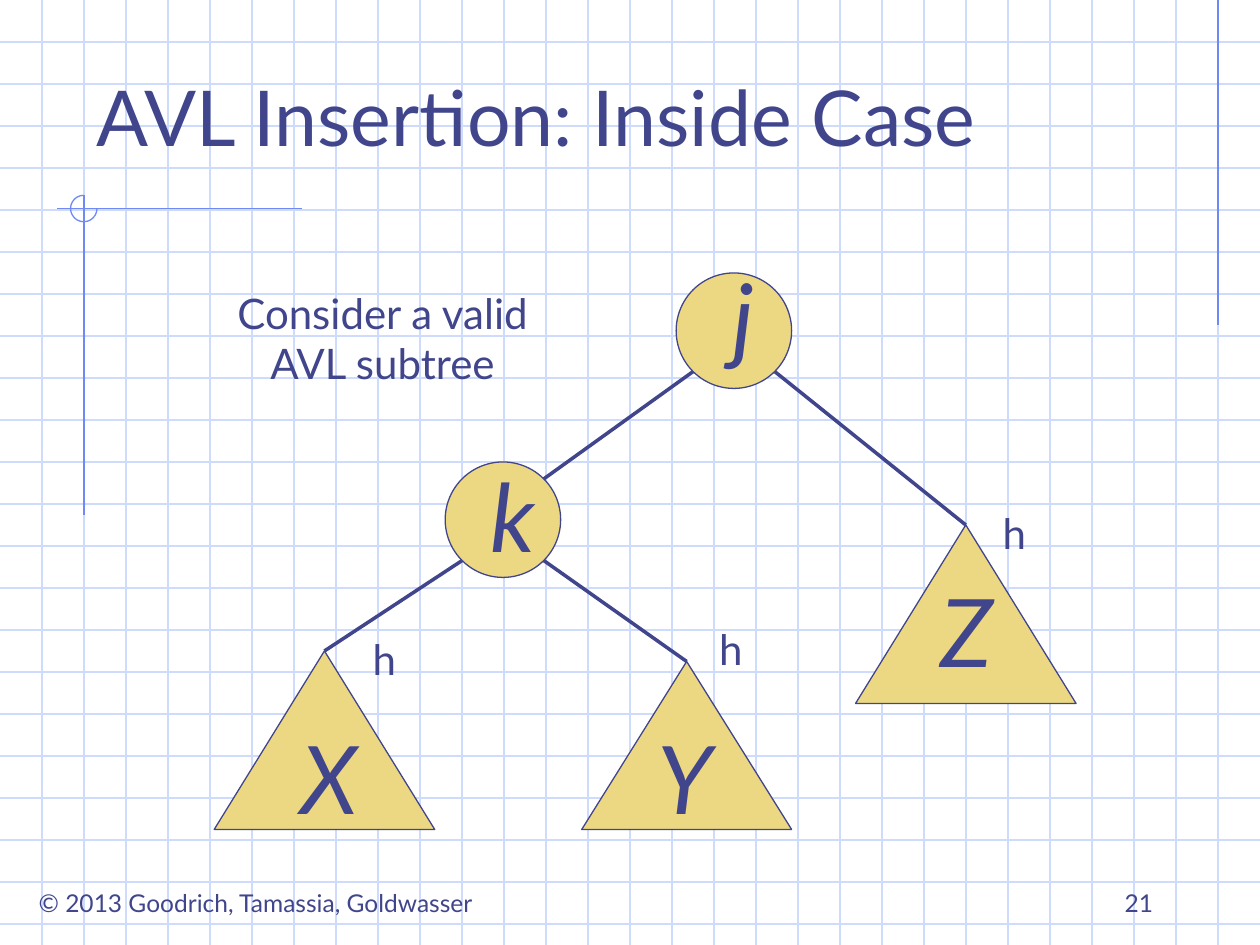
import math
import pptx
import pptx.util
import pptx.dml.color
import pptx.enum.shapes
import pptx.enum.text
import pptx.oxml

COLORS = {"ink": "40458C", "grid": "CFDBFD", "accent": "6F89F7", "node": "ECD882"}
SHAPE = pptx.enum.shapes.MSO_SHAPE
ALIGN = pptx.enum.text.PP_ALIGN
ANCHOR = pptx.enum.text.MSO_ANCHOR

presentation = pptx.Presentation()
presentation.slide_width = pptx.util.Inches(10)
presentation.slide_height = pptx.util.Inches(7.5)
slide = presentation.slides.add_slide(presentation.slide_layouts[5])

# All lengths are counted in cells of the graph paper: 30 columns across
COLUMNS = 30
CELL = presentation.slide_width / COLUMNS
ROWS = presentation.slide_height / CELL


def add_line(start, end, color, width=0.75):
    ends = [round(value * CELL) for value in (*start, *end)]
    line = slide.shapes.add_connector(pptx.enum.shapes.MSO_CONNECTOR.STRAIGHT, *ends)
    line.line.color.rgb = pptx.dml.color.RGBColor.from_string(COLORS[color])
    line.line.width = pptx.util.Pt(width)
    properties = line.element.spPr
    properties.append(pptx.oxml.parse_xml(
        '<a:effectLst xmlns:a="http://schemas.openxmlformats.org/drawingml/2006/main"/>'))


def write_text(shape, box, text, size, align=ALIGN.CENTER, anchor=ANCHOR.TOP,
               italic=False, wrap=False):
    shape.left, shape.top, shape.width, shape.height = (round(value * CELL) for value in box)
    frame = shape.text_frame
    frame.text = text
    frame.word_wrap = wrap
    frame.vertical_anchor = anchor
    for paragraph in frame.paragraphs:
        paragraph.alignment = align
        for run in paragraph.runs:
            run.font.name = "Lato"
            run.font.size = pptx.util.Pt(size)
            run.font.italic = italic
            run.font.color.rgb = pptx.dml.color.RGBColor.from_string(COLORS["ink"])


# Graph paper
for row in range(1, math.ceil(ROWS)):
    add_line((0, row), (COLUMNS, row), "grid")
for column in range(1, COLUMNS):
    add_line((column, 0), (column, ROWS), "grid")

# Accent lines with the three-quarter circle at their crossing
add_line((29, 0), (29, 7.74), "accent")
add_line((7.2, 4.97), (1.35, 4.97), "accent")
add_line((2, 4.65), (2, 12.27), "accent")
arc = slide.shapes.add_shape(SHAPE.ARC, *(round(value * CELL) for value in (1.68, 4.65, 0.63, 0.63)))
arc.adjustments[0] = 0
arc.adjustments[1] = 162  # 270 degrees
arc.fill.background()
arc.line.color.rgb = pptx.dml.color.RGBColor.from_string(COLORS["accent"])
arc.line.width = pptx.util.Pt(0.75)
arc.shadow.inherit = False

# Title, brought in front of the graph paper
title = slide.shapes.title
title.element.getparent().append(title.element)
write_text(title, (2, 0.75, 26.75, 3.25), "AVL Insertion: Inside Case", 44,
           ALIGN.LEFT, ANCHOR.BOTTOM, wrap=True)

# Tree nodes and subtrees: preset, outline box, left and top of the letter
tree = {
    "j": (SHAPE.OVAL, (16.1, 6.5, 2.75, 2.75), (16.86, 6)),
    "k": (SHAPE.OVAL, (10.6, 11, 2.75, 2.75), (11.37, 10.75)),
    "X": (SHAPE.ISOSCELES_TRIANGLE, (5.1, 15.5, 5.25, 4.25), (6.87, 17)),
    "Y": (SHAPE.ISOSCELES_TRIANGLE, (13.85, 15.75, 5, 4), (15.36, 17)),
    "Z": (SHAPE.ISOSCELES_TRIANGLE, (20.37, 12.5, 5.25, 4.25), (22.11, 13.5)),
}
for letter, (preset, box, corner) in tree.items():
    shape = slide.shapes.add_shape(preset, *(round(value * CELL) for value in box))
    shape.fill.solid()
    shape.fill.fore_color.rgb = pptx.dml.color.RGBColor.from_string(COLORS["node"])
    shape.line.color.rgb = pptx.dml.color.RGBColor.from_string(COLORS["ink"])
    shape.line.width = pptx.util.Pt(0.75)
    shape.shadow.inherit = False
    label = slide.shapes.add_textbox(0, 0, 0, 0)
    write_text(label, (*corner, 1.68, 3), letter, 54, italic=True)

# Edges leave a circle on its diagonal and end on a circle or at an apex
for parent, child, side in (("j", "k", -1), ("k", "X", -1), ("k", "Y", 1), ("j", "Z", 1)):
    left, top, diameter, _ = tree[parent][1]
    radius = diameter / 2
    diagonal = radius * math.sqrt(0.5)
    start = (left + radius + side * diagonal, top + radius + diagonal)
    preset, (left, top, width, height), _ = tree[child]
    end = (left + width / 2, top)
    if preset == SHAPE.OVAL:
        end = (left + radius - side * diagonal, top + radius - diagonal)
    add_line(start, end, "ink", 2)

# Caption and subtree heights
caption = slide.shapes.add_textbox(0, 0, 0, 0)
write_text(caption, (5.07, 6.69, 8.07, 2.7), "Consider a valid\nAVL subtree", 24)
for left, top in ((23.55, 11.94), (16.8, 14.7), (8.55, 14.94)):
    height_label = slide.shapes.add_textbox(0, 0, 0, 0)
    write_text(height_label, (left, top, 1.2, 1.5), "h", 24)

# Footer
copyright_line = slide.shapes.add_textbox(0, 0, 0, 0)
write_text(copyright_line, (0.27, 21, 11.64, 1.02), "© 2013 Goodrich, Tamassia, Goldwasser", 14)
slide_number = slide.shapes.add_textbox(0, 0, 0, 0)
write_text(slide_number, (21.5, 20.5, 6.25, 1.5), "21", 14, ALIGN.RIGHT, ANCHOR.BOTTOM, wrap=True)

presentation.save("out.pptx")
